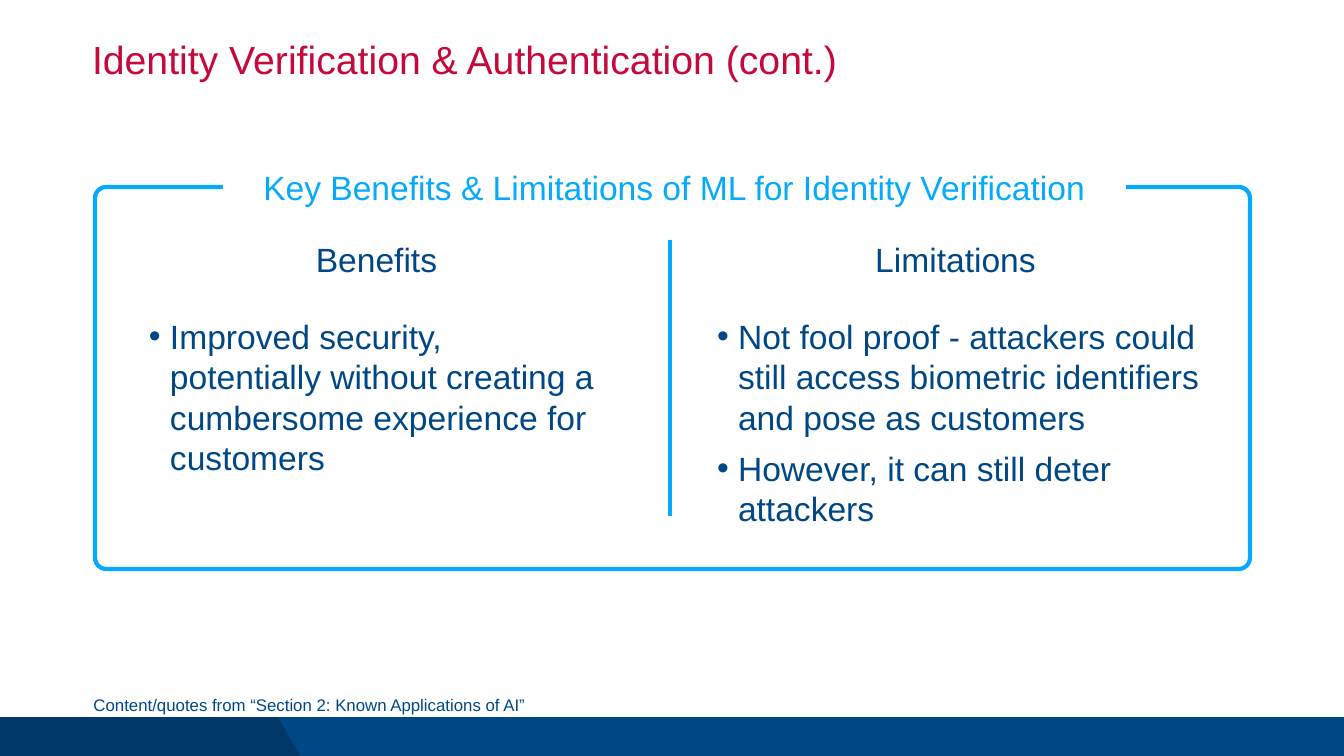
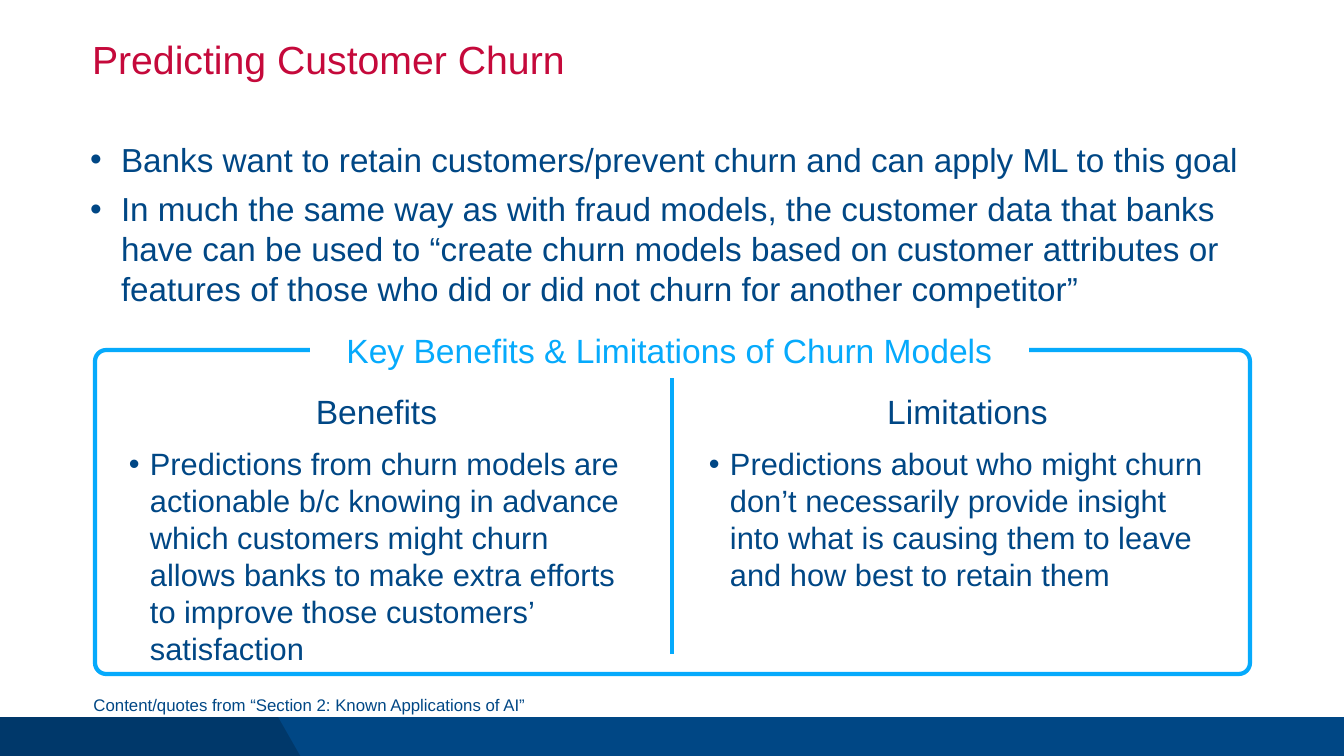
from lxml import etree
from pptx import Presentation
from pptx.dml.color import RGBColor
from pptx.enum.shapes import MSO_CONNECTOR, MSO_SHAPE
from pptx.enum.text import MSO_ANCHOR, MSO_AUTO_SIZE, PP_ALIGN
from pptx.oxml.ns import qn
from pptx.util import Pt

EMU_PER_PIXEL = 914400 / 50.4
SLIDE_WIDTH, SLIDE_HEIGHT = 1344, 756

NAVY = RGBColor(0x00, 0x47, 0x85)
SKY = RGBColor(0x06, 0xAA, 0xFC)
CRIMSON = RGBColor(0xC5, 0x09, 0x3B)
BLACK = RGBColor(0x00, 0x00, 0x00)
WHITE = RGBColor(0xFF, 0xFF, 0xFF)

FONT = "Arial"
LEFT, CENTER = PP_ALIGN.LEFT, PP_ALIGN.CENTER
TOP, MIDDLE = MSO_ANCHOR.TOP, MSO_ANCHOR.MIDDLE
NO_FIT, GROW = MSO_AUTO_SIZE.NONE, MSO_AUTO_SIZE.SHAPE_TO_FIT_TEXT
RECTANGLE, ROUNDED = MSO_SHAPE.RECTANGLE, MSO_SHAPE.ROUNDED_RECTANGLE
STRAIGHT = MSO_CONNECTOR.STRAIGHT

TITLE_ONLY, TITLE_AND_CONTENT = 5, 1
BAND_TOP, BAND_HEIGHT = 717, 42
FRAME_LEFT, FRAME_WIDTH, CORNER_RADIUS = 95, 1155, 11.2
CAPTION_HEIGHT, CAPTION_RISE = 83, 43
HEADING_WIDTH, DIVIDER_LENGTH = 447, 276
SOURCE_NOTE = "Content/quotes from “Section 2: Known Applications of AI”"


def px(pixels):
    """Turn pixels into EMU."""
    return round(pixels * EMU_PER_PIXEL)


def box(*pixels):
    """Turn left, top, width and height into EMU."""
    return [px(value) for value in pixels]


def place(shape, area):
    """Move a placeholder to an area in pixels."""
    shape.left, shape.top, shape.width, shape.height = box(*area)


def set_frame(shape, inset=0, anchor=TOP, wrap=True, fit=NO_FIT):
    """Set insets, anchor, wrapping and fitting of a shape's text."""
    frame = shape.text_frame
    frame.auto_size = fit
    frame.word_wrap = wrap
    frame.vertical_anchor = anchor
    frame.margin_left = frame.margin_right = px(inset)
    frame.margin_top = frame.margin_bottom = px(inset)
    return frame


def write(paragraph, text, size, color, align=LEFT, spacing=1.0, before=0):
    """Write one run into a paragraph and format both."""
    paragraph.alignment = align
    paragraph.line_spacing = spacing
    paragraph.space_before = Pt(before)
    run = paragraph.add_run()
    run.text = text
    run.font.name = FONT
    run.font.size = Pt(size)
    run.font.color.rgb = color


def add_bullet(paragraph, indent, hanging):
    """Give a paragraph a round bullet with a hanging indent."""
    properties = paragraph._p.get_or_add_pPr()
    properties.set("marL", str(px(indent)))
    properties.set("indent", str(-px(hanging)))
    etree.SubElement(properties, qn("a:buFont")).set("typeface", FONT)
    etree.SubElement(properties, qn("a:buChar")).set("char", "•")


def write_list(frame, items, size, before, indent, hanging):
    """Write bulleted items into a text frame."""
    for index, item in enumerate(items):
        paragraph = frame.add_paragraph() if index else frame.paragraphs[0]
        write(paragraph, item, size, NAVY, before=before)
        add_bullet(paragraph, indent, hanging)


def paint(shape, fill=None, line=None):
    """Set fill and outline of a shape, without a shadow."""
    shape.shadow.inherit = False
    if fill is None:
        shape.fill.background()
    else:
        shape.fill.solid()
        shape.fill.fore_color.rgb = fill
    if line is None:
        shape.line.fill.background()
    else:
        shape.line.color.rgb = line
        shape.line.width = Pt(6)


def add_band(slide):
    """Draw the bottom band with its darker slanted end."""
    band = slide.shapes.add_shape(
        RECTANGLE, *box(0, BAND_TOP, SLIDE_WIDTH, BAND_HEIGHT))
    paint(band, NAVY)
    bottom = BAND_TOP + BAND_HEIGHT
    builder = slide.shapes.build_freeform(0, BAND_TOP, EMU_PER_PIXEL)
    builder.add_line_segments([(278, BAND_TOP), (302, bottom), (0, bottom)])
    slant = builder.convert_to_shape()
    paint(slant, BLACK)
    color = slant._element.spPr.find(qn("a:solidFill"))[0]
    etree.SubElement(color, qn("a:alpha")).set("val", "20000")


def add_slide(presentation, layout, title):
    """Add a slide with title, band and source note."""
    slide = presentation.slides.add_slide(presentation.slide_layouts[layout])
    place(slide.shapes.title, (92, 41, 1159, 53))
    frame = set_frame(slide.shapes.title)
    write(frame.paragraphs[0], title, 56, CRIMSON, spacing=0.9)
    add_band(slide)
    note = slide.shapes.add_textbox(*box(91, 692, 437, 24))
    frame = set_frame(note, inset=2.5, wrap=False, fit=GROW)
    write(frame.paragraphs[0], SOURCE_NOTE, 24, NAVY)
    return slide


def write_heading(shape, text, color):
    """Write a centred panel heading into a shape."""
    frame = set_frame(shape, anchor=MIDDLE)
    write(frame.paragraphs[0], text, 48, color, CENTER, 1.1, 30)


def add_panel(shapes, top, height, caption, caption_left, caption_width):
    """Draw the rounded frame with a caption breaking its top edge."""
    frame = shapes.add_shape(
        ROUNDED, *box(FRAME_LEFT, top, FRAME_WIDTH, height))
    frame.adjustments[0] = CORNER_RADIUS / height
    paint(frame, line=SKY)
    label = shapes.add_shape(RECTANGLE, *box(
        caption_left, top - CAPTION_RISE, caption_width, CAPTION_HEIGHT))
    paint(label, WHITE)
    write_heading(label, caption, SKY)


def add_headings(shapes, lefts, top, height):
    """Add the headings of the two columns."""
    for left, text in zip(lefts, ("Benefits", "Limitations")):
        heading = shapes.add_textbox(*box(left, top, HEADING_WIDTH, height))
        write_heading(heading, text, NAVY)


def add_divider(shapes, x, top):
    """Draw the vertical line between the columns."""
    line = shapes.add_connector(
        STRAIGHT, *box(x, top + DIVIDER_LENGTH, x, top))
    line.line.color.rgb = SKY
    line.line.width = Pt(6)
    etree.SubElement(line._element.spPr, qn("a:effectLst"))


def add_column_list(slide, area, size, items):
    """Add the bulleted text of one column."""
    column = slide.shapes.add_textbox(*box(*area))
    write_list(set_frame(column, inset=10), items, size, 15, 28, 21)


def build_identity_slide(presentation):
    """Build the slide on identity verification."""
    slide = add_slide(presentation, TITLE_ONLY,
                      "Identity Verification & Authentication (cont.)")
    add_panel(slide.shapes, 187, 382,
              "Key Benefits & Limitations of ML for Identity Verification",
              223, 903)
    add_headings(slide.shapes, (153, 732), 175, 165)
    add_divider(slide.shapes, 670, 240)
    add_column_list(slide, (132, 306, 476, 235), 48, [
        "Improved security, potentially without creating a cumbersome "
        "experience for customers"])
    add_column_list(slide, (700, 306, 517, 235), 48, [
        "Not fool proof - attackers could still access biometric "
        "identifiers and pose as customers",
        "However, it can still deter attackers"])


def build_churn_slide(presentation):
    """Build the slide on customer churn."""
    slide = add_slide(presentation, TITLE_AND_CONTENT,
                      "Predicting Customer Churn")
    panel = slide.shapes.add_group_shape().shapes
    add_panel(panel, 350, 324, "Key Benefits & Limitations of Churn Models",
              310, 719)
    add_headings(panel, (153, 744), 354, 111)
    add_divider(panel, 672, 378)
    add_column_list(slide, (112, 435, 534, 269), 44, [
        "Predictions from churn models are actionable b/c knowing in "
        "advance which customers might churn allows banks to make extra "
        "efforts to improve those customers’ satisfaction"])
    add_column_list(slide, (692, 435, 529, 236), 44, [
        "Predictions about who might churn don’t necessarily provide "
        "insight into what is causing them to leave and how best to "
        "retain them"])
    body = slide.placeholders[1]
    place(body, (90, 139, 1159, 181))
    write_list(set_frame(body), [
        "Banks want to retain customers/prevent churn and can apply ML to "
        "this goal",
        "In much the same way as with fraud models, the customer data that "
        "banks have can be used to “create churn models based on customer "
        "attributes or features of those who did or did not churn for "
        "another competitor”"], 47.5, 14, 31, 31)
    # The body text lies in front of the caption's white box.
    slide.shapes.element.append(body.element)


def main():
    """Build and save the presentation."""
    presentation = Presentation()
    presentation.slide_width = px(SLIDE_WIDTH)
    presentation.slide_height = px(SLIDE_HEIGHT)
    build_identity_slide(presentation)
    build_churn_slide(presentation)
    presentation.save("out.pptx")


main()
